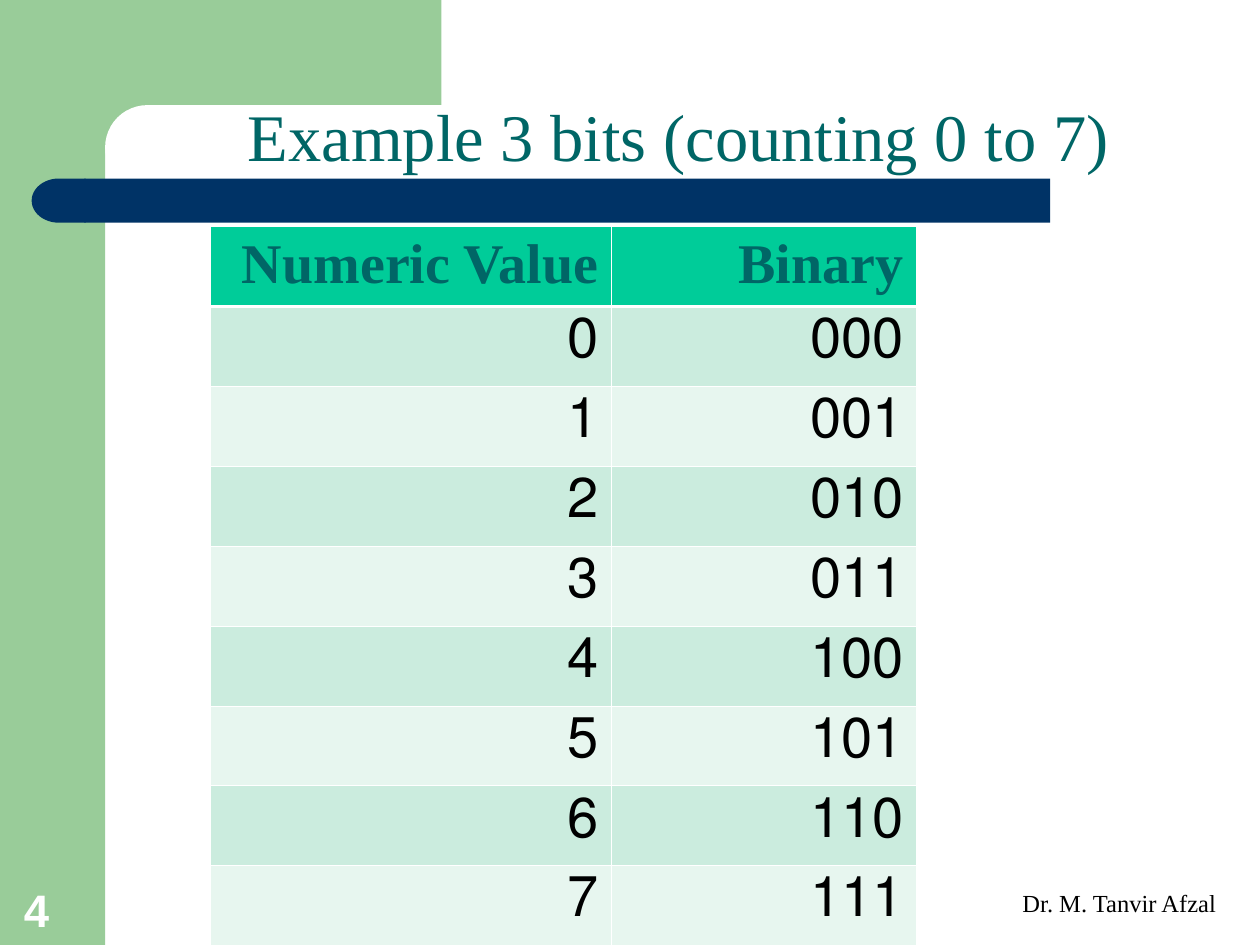
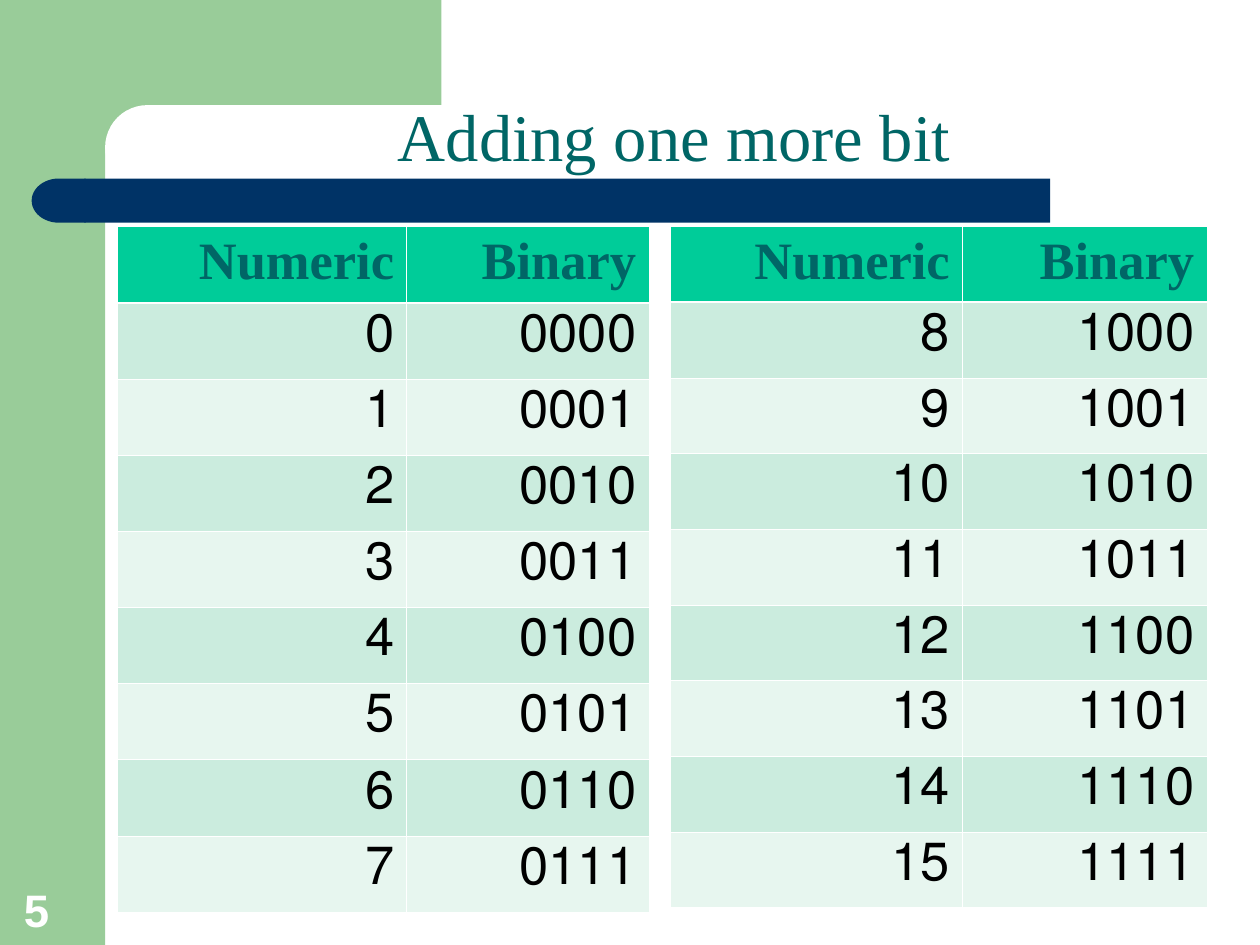
from lxml.etree import SubElement
from pptx import Presentation
from pptx.dml.color import RGBColor
from pptx.enum.shapes import MSO_SHAPE as Preset
from pptx.enum.text import MSO_ANCHOR as Anchor, MSO_AUTO_SIZE as AutoSize, PP_ALIGN as Align
from pptx.oxml.ns import qn
from pptx.util import Cm, Pt

COLORS = {
    "white": "FFFFFF",
    "black": "000000",
    "band": "99CC99",
    "bar": "003366",
    "heading": "006666",
    "header_fill": "00CC99",
    "odd_row": "CBECDE",
    "even_row": "E7F6EF",
}
SERIF, SANS = "Times New Roman", "Arial"
SLIDE_WIDTH, SLIDE_HEIGHT = 25.4, 19.05
TABLE_TOP = 4.57
TITLE_ONLY = 5
THIN, THICK = 0.45, 1.47


def color(name):
    return RGBColor.from_string(COLORS[name])


def style_text(paragraph, size, color_name, font=SERIF, bold=False, align=Align.LEFT):
    paragraph.alignment = align
    paragraph.font.name = font
    paragraph.font.size = Pt(size)
    paragraph.font.bold = bold
    paragraph.font.color.rgb = color(color_name)


def add_block(slide, preset, left, top, width, height, color_name):
    block = slide.shapes.add_shape(preset, Cm(left), Cm(top), Cm(width), Cm(height))
    block.shadow.inherit = False
    block.fill.solid()
    block.fill.fore_color.rgb = color(color_name)
    block.line.fill.background()
    return block


def decorate_layout(slide):
    """Put the green bands and the blue bar on the layout all slides use."""
    side_band = add_block(slide, Preset.RECTANGLE, 0, 0, 2.12, SLIDE_HEIGHT, "band")
    top_band = add_block(slide, Preset.RECTANGLE, 1.9, 0, 7, 2.96, "band")
    corner = add_block(slide, Preset.ROUNDED_RECTANGLE, 2.12, 2.12, 8.68, 1.7, "white")
    corner.adjustments[0] = 0.5
    bar = add_block(slide, Preset.RECTANGLE, 1.7, 3.6, 19.47, 0.89, "bar")
    bar_end = add_block(slide, Preset.FLOWCHART_DELAY, 0.64, 3.6, 1.09, 0.89, "bar")
    bar_end._element.spPr.find(qn("a:xfrm")).set("flipH", "1")

    layout_tree = slide.slide_layout.shapes._spTree
    for shape_id, part in enumerate((side_band, top_band, corner, bar, bar_end), start=100):
        part._element.nvSpPr.cNvPr.set("id", str(shape_id))
        layout_tree.append(part._element)


def set_title(slide, text, left):
    title = slide.shapes.title
    title.left, title.top = Cm(left), Cm(1.78)
    title.width, title.height = Cm(SLIDE_WIDTH - left), Cm(1.88)
    frame = title.text_frame
    frame.text = text
    frame.auto_size = AutoSize.NONE
    frame.vertical_anchor = Anchor.TOP
    style_text(frame.paragraphs[0], 38, "heading", align=Align.CENTER)


def add_label(slide, text, left, top, width, height, anchor=Anchor.TOP, **style):
    label = slide.shapes.add_textbox(Cm(left), Cm(top), Cm(width), Cm(height))
    frame = label.text_frame
    frame.word_wrap = True
    frame.vertical_anchor = anchor
    frame.text = text
    style_text(frame.paragraphs[0], **style)


def add_page_number(slide, number):
    add_label(slide, str(number), 0.23, 17.63, 1.63, 1.37, Anchor.BOTTOM,
              size=26, color_name="white", font=SANS, bold=True)


def set_borders(cell, row):
    """White cell borders, thicker between the header and the values."""
    properties = cell._tc.get_or_add_tcPr()
    widths = {"L": THIN, "R": THIN,
              "T": THICK if row == 1 else THIN,
              "B": THICK if row == 0 else THIN}
    for side, width in widths.items():
        border = SubElement(properties, qn(f"a:ln{side}"), w=str(Pt(width)))
        fill = SubElement(border, qn("a:solidFill"))
        SubElement(fill, qn("a:srgbClr"), val=COLORS["white"])


def fill_cell(cell, text, row, size):
    set_borders(cell, row)
    is_header = row == 0
    fill_name = "header_fill" if is_header else "odd_row" if row % 2 else "even_row"
    cell.fill.solid()
    cell.fill.fore_color.rgb = color(fill_name)
    cell.text = text
    paragraph = cell.text_frame.paragraphs[0]
    style_text(paragraph, size, "heading" if is_header else "black",
               SERIF if is_header else SANS, is_header, Align.RIGHT)
    paragraph._p.get_or_add_pPr().set("rtl", "1")


def add_binary_table(slide, heading, numbers, bits, left, column_widths, height, size):
    rows = [(heading, "Binary")] + [(str(n), f"{n:0{bits}b}") for n in numbers]
    table = slide.shapes.add_table(len(rows), 2, Cm(left), Cm(TABLE_TOP),
                                   Cm(sum(column_widths)), Cm(height)).table
    for column, width in zip(table.columns, column_widths):
        column.width = Cm(width)
    for row, texts in enumerate(rows):
        for column, text in enumerate(texts):
            fill_cell(table.cell(row, column), text, row, size)


def main():
    prs = Presentation()
    prs.slide_width, prs.slide_height = Cm(SLIDE_WIDTH), Cm(SLIDE_HEIGHT)
    layout = prs.slide_layouts[TITLE_ONLY]

    three_bits = prs.slides.add_slide(layout)
    decorate_layout(three_bits)
    add_page_number(three_bits, 4)
    set_title(three_bits, "Example 3 bits (counting 0 to 7)", 1.96)
    add_binary_table(three_bits, "Numeric Value", range(8), 3, 4.24, (8.08, 6.15), 14.48, 32)
    add_label(three_bits, "Dr. M. Tanvir Afzal", 18.54, 17.78, 8.05, 1.27,
              size=14, color_name="black", align=Align.CENTER)

    four_bits = prs.slides.add_slide(layout)
    add_page_number(four_bits, 5)
    set_title(four_bits, "Adding one more bit", 1.78)
    add_binary_table(four_bits, "Numeric", range(8), 4, 2.36, (5.84, 4.88), 13.82, 30)
    add_binary_table(four_bits, "Numeric", range(8, 16), 4, 13.51, (5.89, 4.93), 13.72, 30)

    prs.save("out.pptx")


if __name__ == "__main__":
    main()
